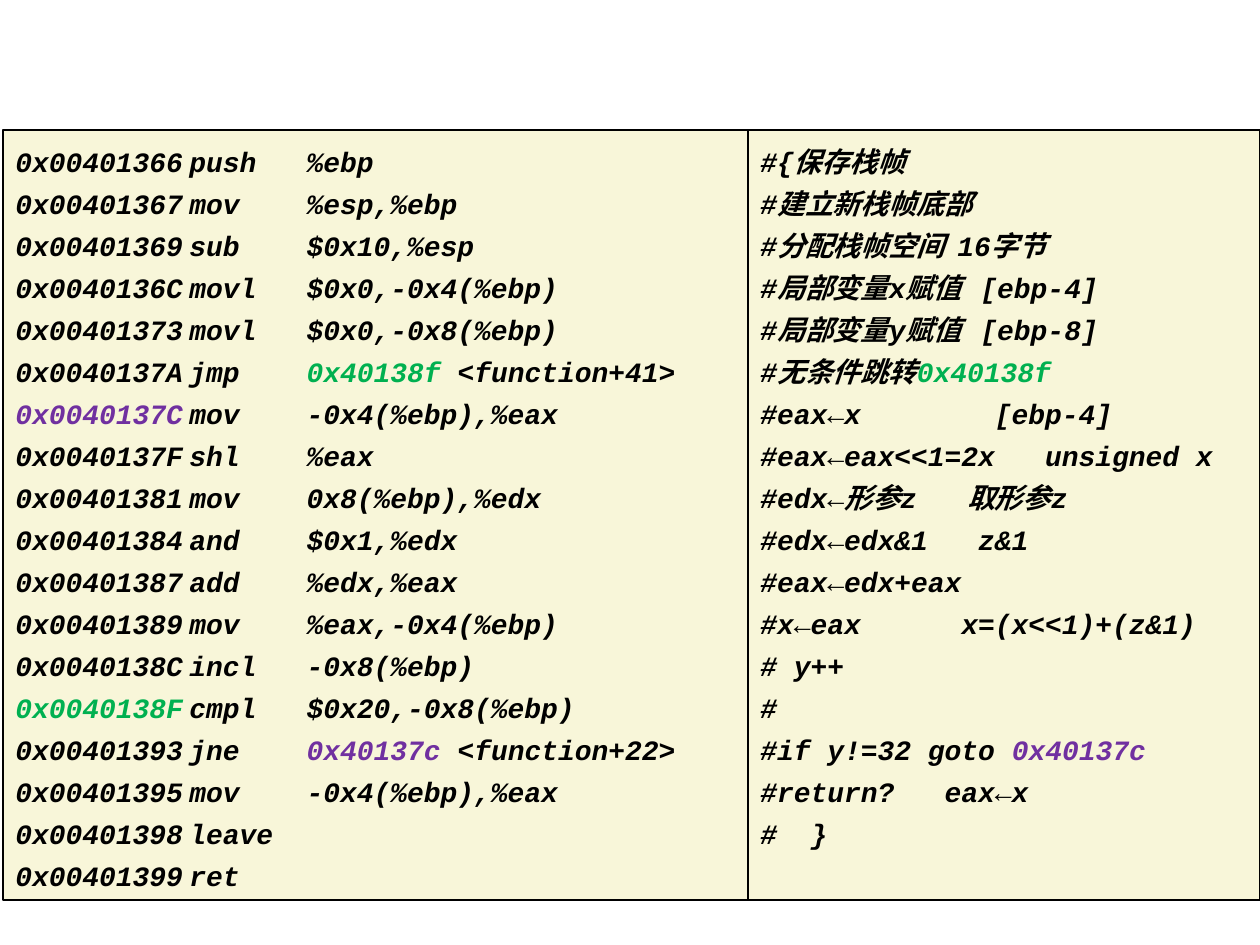
from dataclasses import dataclass, field

from lxml import etree
from pptx import Presentation
from pptx.dml.color import RGBColor as Rgb
from pptx.enum.shapes import MSO_SHAPE as Shape
from pptx.enum.text import MSO_ANCHOR as Anchor, PP_ALIGN as Align
from pptx.oxml.ns import qn
from pptx.util import Emu, Pt

EMU_PER_PX = 914400 / 126


def px(length):
    return Emu(round(length * EMU_PER_PX))


@dataclass
class Theme:
    panel: str = "F8F6D9"
    ink: str = "000000"
    latin: str = "Courier New"
    east_asian: str = "Noto Sans CJK SC"
    code_size: int = 16
    line_pitch: int = 24
    border: float = 0.75
    # Each jump target shares its colour with the jumps that reach it
    jump_colors: dict = field(default_factory=lambda: {
        "0x0040137C": "7030A0", "0x40137c": "7030A0",
        "0x0040138F": "00B050", "0x40138f": "00B050"})


class CodeSlide:
    def __init__(self, slide, theme):
        self.slide = slide
        self.theme = theme

    def panel(self, left, top, width, height, lines):
        theme = self.theme
        box = self.slide.shapes.add_shape(
            Shape.RECTANGLE, px(left), px(top), px(width), px(height))
        box.shadow.inherit = False
        box.fill.solid()
        box.fill.fore_color.rgb = Rgb.from_string(theme.panel)
        box.line.color.rgb = Rgb.from_string(theme.ink)
        box.line.width = Pt(theme.border)
        frame = box.text_frame
        frame.word_wrap = True
        frame.vertical_anchor = Anchor.TOP
        for number, line in enumerate(lines):
            paragraph = frame.add_paragraph() if number else frame.paragraphs[0]
            self.code_line(paragraph, line)

    def code_line(self, paragraph, line):
        paragraph.alignment = Align.LEFT
        paragraph.line_spacing = Pt(self.theme.line_pitch)
        properties = paragraph._p.get_or_add_pPr()
        properties.set("marL", str(px(48)))
        properties.set("indent", str(-px(48)))
        for text, color in self.colored_parts(line):
            self.run(paragraph, text, color)

    def colored_parts(self, line):
        ink = self.theme.ink
        for target, color in self.theme.jump_colors.items():
            before, found, after = line.partition(target)
            if found:
                parts = [(before, ink), (found, color), (after, ink)]
                return [part for part in parts if part[0]]
        return [(line, ink)]

    def run(self, paragraph, text, color):
        run = paragraph.add_run()
        run.text = text
        style = {"name": self.theme.latin, "size": Pt(self.theme.code_size),
                 "bold": True, "italic": True}
        for name, value in style.items():
            setattr(run.font, name, value)
        run.font.color.rgb = Rgb.from_string(color)
        east_asian = etree.SubElement(run._r.get_or_add_rPr(), qn("a:ea"))
        east_asian.set("typeface", self.theme.east_asian)


# Address, mnemonic and operands
INSTRUCTIONS = [
    ("0x00401366", "push", "%ebp"),
    ("0x00401367", "mov", "%esp,%ebp"),
    ("0x00401369", "sub", "$0x10,%esp"),
    ("0x0040136C", "movl", "$0x0,-0x4(%ebp)"),
    ("0x00401373", "movl", "$0x0,-0x8(%ebp)"),
    ("0x0040137A", "jmp", "0x40138f <function+41>"),
    ("0x0040137C", "mov", "-0x4(%ebp),%eax"),
    ("0x0040137F", "shl", "%eax"),
    ("0x00401381", "mov", "0x8(%ebp),%edx"),
    ("0x00401384", "and", "$0x1,%edx"),
    ("0x00401387", "add", "%edx,%eax"),
    ("0x00401389", "mov", "%eax,-0x4(%ebp)"),
    ("0x0040138C", "incl", "-0x8(%ebp)"),
    ("0x0040138F", "cmpl", "$0x20,-0x8(%ebp)"),
    ("0x00401393", "jne", "0x40137c <function+22>"),
    ("0x00401395", "mov", "-0x4(%ebp),%eax"),
    ("0x00401398", "leave", ""),
    ("0x00401399", "ret", ""),
]

COMMENTS = [
    "#{保存栈帧",
    "#建立新栈帧底部",
    "#分配栈帧空间  16字节",
    "#局部变量x赋值   [ebp-4]",
    "#局部变量y赋值   [ebp-8]",
    "#无条件跳转0x40138f",
    "#eax←x        [ebp-4]",
    "#eax←eax<<1=2x   unsigned x",
    "#edx←形参z   取形参z",
    "#edx←edx&1   z&1",
    "#eax←edx+eax",
    "#x←eax      x=(x<<1)+(z&1)",
    "# y++",
    "#",
    "#if y!=32 goto 0x40137c",
    "#return?   eax←x",
    "#  }",
]


def main():
    deck = Presentation()
    deck.slide_width, deck.slide_height = px(1260), px(945)
    listing = CodeSlide(deck.slides.add_slide(deck.slide_layouts[6]), Theme())

    # Disassembly, with the comments overlapping its right edge
    assembly = [f"{address}\t{f'{mnemonic:<7}{operands}'.rstrip()}"
                for address, mnemonic, operands in INSTRUCTIONS]
    listing.panel(3, 130, 786, 770, assembly)
    listing.panel(748, 130, 512, 770, COMMENTS)

    deck.save("out.pptx")


if __name__ == "__main__":
    main()
